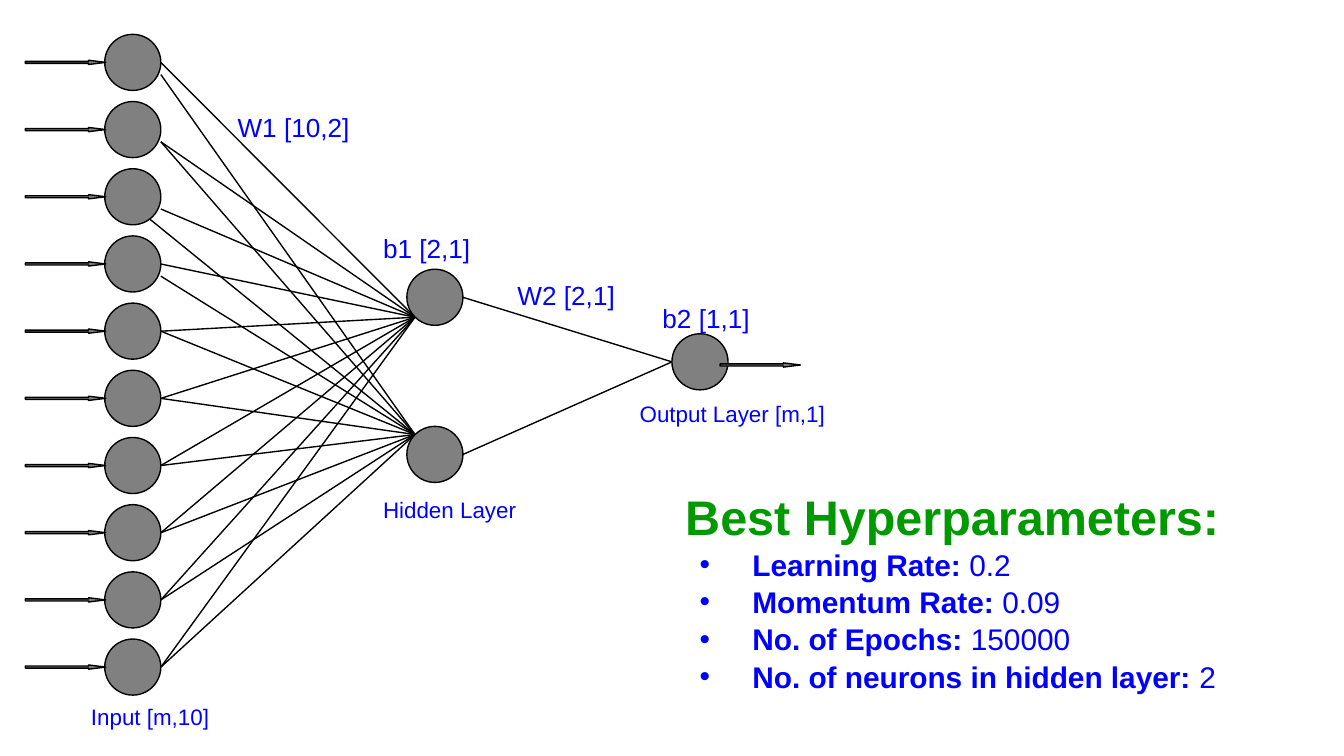
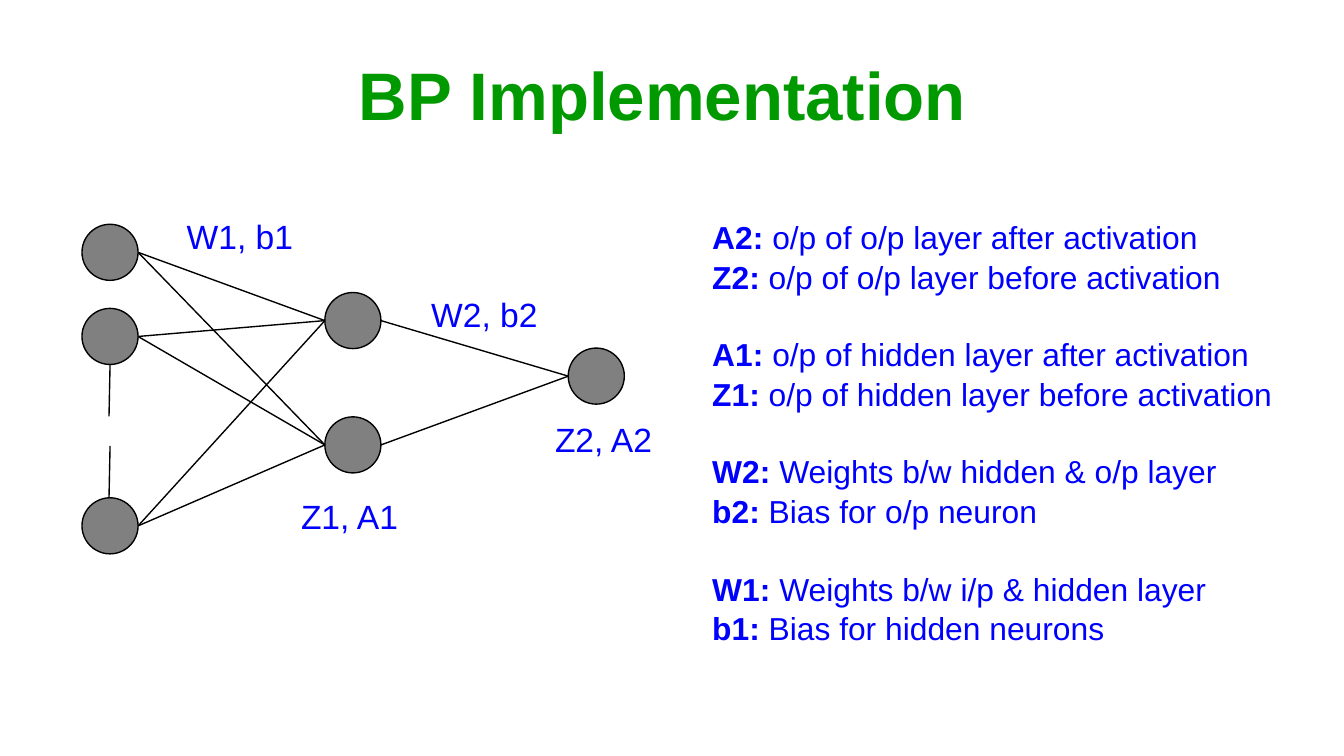
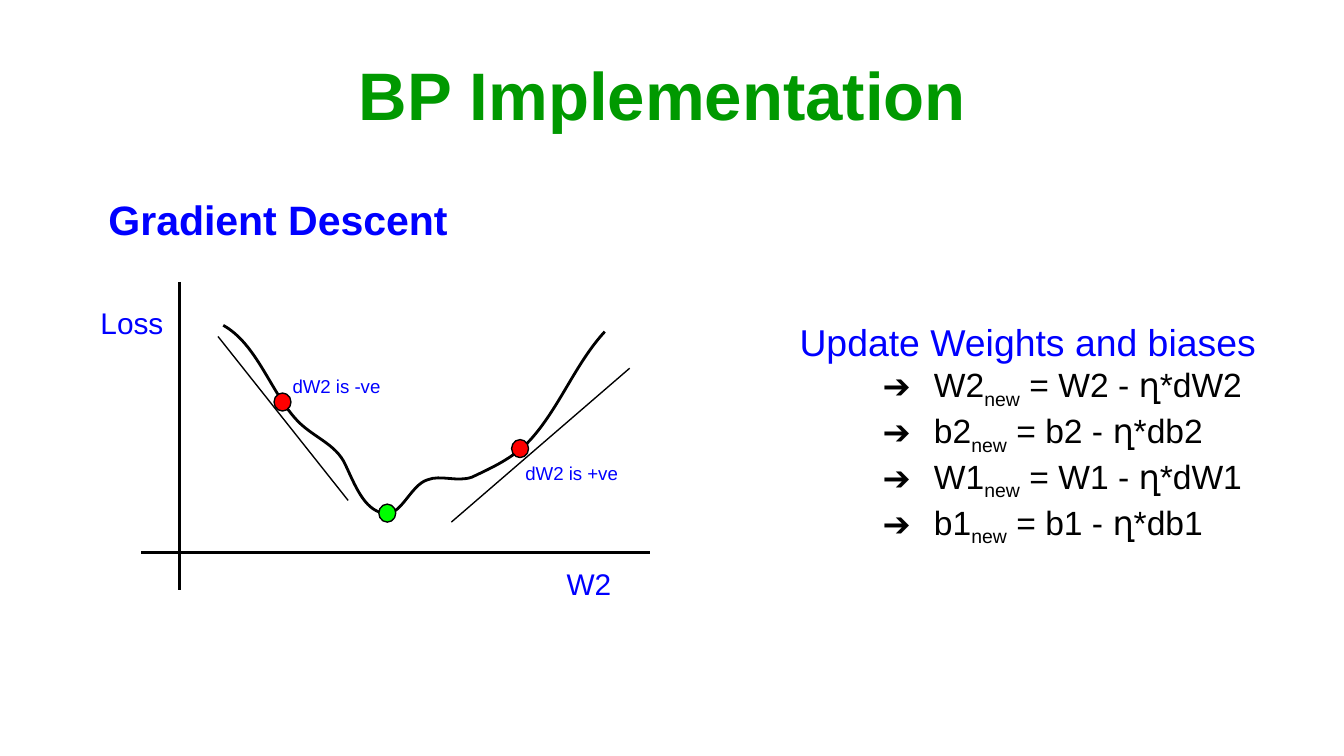
from dataclasses import dataclass
from itertools import product

from lxml.etree import SubElement
from pptx import Presentation
from pptx.dml.color import RGBColor
from pptx.enum.shapes import MSO_CONNECTOR, MSO_SHAPE
from pptx.enum.text import MSO_ANCHOR, MSO_AUTO_SIZE, PP_ALIGN
from pptx.oxml.ns import qn
from pptx.util import Cm, Pt


@dataclass(frozen=True)
class Theme:
    font: str = "Arial"
    heading: str = "009900"
    text: str = "0000FF"
    ink: str = "000000"
    neuron: str = "808080"
    slope_point: str = "FF0000"
    minimum: str = "00FF00"
    title_size: float = 36
    heading_size: float = 26
    subtitle_size: float = 22
    update_size: float = 20
    formula_size: float = 18
    definition_size: float = 17
    list_size: float = 16
    label_size: float = 14
    caption_size: float = 12
    note_size: float = 10
    thin: float = 0.75
    thick: float = 1.5


theme = Theme()


def add_run(paragraph, text, size, color, bold=False, baseline=0):
    run = paragraph.add_run()
    run.text = text
    font_format = {"name": theme.font, "size": Pt(size), "bold": bold}
    for name, value in font_format.items():
        setattr(run.font, name, value)
    run.font.color.rgb = RGBColor.from_string(color)
    if baseline:
        run.font._element.set("baseline", str(baseline * 1000))


def format_paragraph(paragraph, bullet="", color="", left=0, hanging=0, before=0, spacing=1.0):
    properties = paragraph._p.get_or_add_pPr()
    properties.set("marL", str(Cm(left)))
    properties.set("indent", str(-Cm(hanging)))
    if bullet:
        bullet_color = SubElement(properties, qn("a:buClr"))
        SubElement(bullet_color, qn("a:srgbClr")).set("val", color)
        SubElement(properties, qn("a:buChar")).set("char", bullet)
    else:
        SubElement(properties, qn("a:buNone"))
    paragraph.space_before = Pt(before)
    paragraph.line_spacing = spacing


presentation = Presentation()
presentation.slide_width = Cm(25.4)
presentation.slide_height = Cm(14.29)
slides = [presentation.slides.add_slide(presentation.slide_layouts[1]) for _ in range(3)]
network, notation, descent = slides

network_title = network.shapes.title._element
network_title.getparent().remove(network_title)

for slide in (notation, descent):
    title = slide.shapes.title
    title_format = {"left": Cm(1.27), "top": Cm(0.58), "width": Cm(22.86), "height": Cm(2.39)}
    for name, value in title_format.items():
        setattr(title, name, value)
    title.text_frame.vertical_anchor = MSO_ANCHOR.MIDDLE
    title.text_frame.auto_size = MSO_AUTO_SIZE.NONE
    paragraph = title.text_frame.paragraphs[0]
    paragraph.alignment = PP_ALIGN.CENTER
    add_run(paragraph, "BP Implementation ", theme.title_size, theme.heading, bold=True)

bodies = [
    (network, 12.7, 8.76, 11.84, 4.8, 0.13, MSO_ANCHOR.MIDDLE),
    (notation, 13.21, 3.84, 11.18, 8.56, 0.25, MSO_ANCHOR.TOP),
    (descent, 14.86, 5.79, 9.27, 4.8, 0.25, MSO_ANCHOR.TOP),
]
for slide, left, top, width, height, inset, anchor in bodies:
    body = slide.placeholders[1]
    body_format = {"left": Cm(left), "top": Cm(top), "width": Cm(width), "height": Cm(height)}
    for name, value in body_format.items():
        setattr(body, name, value)
    frame_format = {
        "margin_left": Cm(0.25),
        "margin_right": Cm(0.25),
        "margin_top": Cm(inset),
        "margin_bottom": Cm(inset),
        "vertical_anchor": anchor,
        "auto_size": MSO_AUTO_SIZE.NONE,
        "word_wrap": True,
    }
    for name, value in frame_format.items():
        setattr(body.text_frame, name, value)

hyperparameters = [
    ("Learning Rate: ", "0.2"),
    ("Momentum Rate: ", "0.09"),
    ("No. of Epochs:", " 150000"),
    ("No. of neurons in hidden layer:", " 2"),
]
frame = network.placeholders[1].text_frame
format_paragraph(frame.paragraphs[0])
add_run(frame.paragraphs[0], "Best Hyperparameters:", theme.heading_size, theme.heading, bold=True)
for name, value in hyperparameters:
    paragraph = frame.add_paragraph()
    format_paragraph(paragraph, "•", theme.text, left=1.27, hanging=1, spacing=1.04)
    add_run(paragraph, name, theme.list_size, theme.text, bold=True)
    add_run(paragraph, value, theme.list_size, theme.text)

definitions = [
    ("A2:", " o/p of o/p layer after activation"),
    ("Z2:", " o/p of o/p layer before activation"),
    ("A1:", " o/p of hidden layer after activation"),
    ("Z1:", " o/p of hidden layer before activation"),
    ("W2:", " Weights b/w hidden & o/p layer"),
    ("b2:", " Bias for o/p neuron"),
    ("W1:", " Weights b/w i/p & hidden layer"),
    ("b1:", " Bias for hidden neurons"),
]
frame = notation.placeholders[1].text_frame
for index, (symbol, meaning) in enumerate(definitions):
    paragraph = frame.add_paragraph() if index else frame.paragraphs[0]
    starts_pair = index > 0 and index % 2 == 0
    format_paragraph(paragraph, before=20.4 if starts_pair else 0, spacing=1.04)
    add_run(paragraph, symbol, theme.definition_size, theme.text, bold=True)
    add_run(paragraph, meaning, theme.definition_size, theme.text)

frame = descent.placeholders[1].text_frame
format_paragraph(frame.paragraphs[0])
add_run(frame.paragraphs[0], "Update Weights and biases", theme.update_size, theme.text)
for symbol in ("W2", "b2", "W1", "b1"):
    paragraph = frame.add_paragraph()
    format_paragraph(paragraph, "➔", theme.ink, left=2.54, hanging=0.97)
    add_run(paragraph, symbol, theme.formula_size, theme.ink)
    add_run(paragraph, "new", theme.formula_size, theme.ink, baseline=-25)
    add_run(paragraph, f" = {symbol} - ղ*d{symbol}", theme.formula_size, theme.ink)

diameter = 1.06
radius = diameter / 2
diagonal = radius * 0.71
lines, shapes = [], []

network_inputs = [(1.98, 0.65 + 1.27 * row) for row in range(10)]
network_hidden = [(7.69, 5.09), (7.69, 8.06)]
network_output = (12.7, 6.31)
notation_inputs = [(1.55, 4.24), (1.55, 5.83), (1.55, 9.41)]
notation_hidden = [(6.14, 5.53), (6.14, 7.88)]
notation_output = (10.74, 6.58)

lowered = (0, 0.23)
start_shifts = [
    {1: lowered, 2: lowered},
    {0: lowered, 1: lowered, 2: (-0.2, 0.43), 3: lowered},
]
for (left, top), shifts, side in zip(network_hidden, start_shifts, (1, -1)):
    end_x = left + radius - diagonal
    end_y = top + radius + side * diagonal
    for row, (input_left, input_top) in enumerate(network_inputs):
        shift_x, shift_y = shifts.get(row, (0, 0))
        start_x = input_left + diameter + shift_x
        start_y = input_top + radius + shift_y
        lines.append((network, start_x, start_y, end_x, end_y, theme.thin))

links = [
    *((network, start, network_output) for start in network_hidden),
    *((notation, start, end) for start, end in product(notation_inputs, notation_hidden)),
    *((notation, start, notation_output) for start in notation_hidden),
]
for slide, (left, top), (end_left, end_top) in links:
    lines.append((slide, left + diameter, top + radius, end_left, end_top + radius, theme.thin))

lines += [
    (notation, 2.08, 6.89, 2.06, 7.87, theme.thin),
    (notation, 2.08, 8.43, 2.06, 9.41, theme.thin),
    (descent, 3.39, 5.33, 3.39, 11.15, theme.thick),
    (descent, 2.67, 10.45, 12.28, 10.45, theme.thick),
    (descent, 4.12, 6.36, 6.58, 9.46, theme.thin),
    (descent, 11.9, 6.96, 8.53, 9.87, theme.thin),
]
for slide, start_x, start_y, end_x, end_y, width in lines:
    connector = slide.shapes.add_connector(
        MSO_CONNECTOR.STRAIGHT, Cm(start_x), Cm(start_y), Cm(end_x), Cm(end_y)
    )
    connector.line.color.rgb = RGBColor.from_string(theme.ink)
    connector.line.width = Pt(width)
    SubElement(connector._element.spPr, qn("a:effectLst"))

loss_points = [
    (4.22, 6.15),
    (4.85, 6.5), (5.11, 7.39), (5.59, 7.92),
    (5.89, 8.26), (6.35, 8.38), (6.53, 8.79),
    (6.71, 9.17), (6.88, 9.63), (7.24, 9.7),
    (7.57, 9.8), (7.75, 9.17), (8.08, 9.07),
    (8.33, 8.97), (8.64, 9.12), (8.92, 9.02),
    (9.3, 8.84), (9.7, 8.66), (10.01, 8.33),
    (10.57, 7.72), (10.87, 6.88), (11.43, 6.27),
]
vertices = [(Cm(x), Cm(y)) for x, y in loss_points]
builder = descent.shapes.build_freeform(*vertices[0])
builder.add_line_segments(vertices[1:], close=False)
loss_curve = builder.convert_to_shape()
loss_curve.fill.background()
loss_curve.line.color.rgb = RGBColor.from_string(theme.ink)
loss_curve.line.width = Pt(theme.thick)
loss_curve.shadow.inherit = False
segments = list(loss_curve._element.iter(qn("a:lnTo")))
outline = segments[0].getparent()
for index in range(0, len(segments), 3):
    bezier = SubElement(outline, qn("a:cubicBezTo"))
    for segment in segments[index:index + 3]:
        bezier.append(segment[0])
        outline.remove(segment)

neurons = [(network, *place) for place in (*network_inputs, *network_hidden, network_output)]
neurons += [(notation, *place) for place in (*notation_inputs, *notation_hidden, notation_output)]
for slide, left, top in neurons:
    shapes.append((slide, MSO_SHAPE.OVAL, left, top, diameter, diameter, theme.neuron))
arrows = [(0.48, top + radius - 0.04) for left, top in network_inputs] + [(13.61, 6.86)]
for left, top in arrows:
    shapes.append((network, MSO_SHAPE.RIGHT_ARROW, left, top, 1.52, 0.08, theme.neuron))
points = [(7.16, 9.53, theme.minimum), (9.67, 8.31, theme.slope_point), (5.18, 7.43, theme.slope_point)]
for left, top, color in points:
    shapes.append((descent, MSO_SHAPE.FLOWCHART_CONNECTOR, left, top, 0.32, 0.34, color))

for slide, kind, left, top, width, height, color in shapes:
    shape = slide.shapes.add_shape(kind, Cm(left), Cm(top), Cm(width), Cm(height))
    shape.shadow.inherit = False
    shape.fill.solid()
    shape.fill.fore_color.rgb = RGBColor.from_string(color)
    shape.line.color.rgb = RGBColor.from_string(theme.ink)
    shape.line.width = Pt(theme.thin)
    if kind == MSO_SHAPE.RIGHT_ARROW:
        shape.adjustments[1] = 4.05

labels = [
    (network, "Input [m,10]", 1.47, 13.08, 2.97, 0.46, theme.caption_size),
    (network, "W1 [10,2]", 4.24, 1.85, 3.84, 1.02, theme.label_size),
    (network, "Hidden Layer", 6.99, 9.12, 3.4, 1.02, theme.caption_size),
    (network, "Output Layer [m,1]", 11.84, 7.32, 4.7, 0.81, theme.caption_size),
    (network, "W2 [2,1]", 9.53, 5.03, 2.97, 1.04, theme.label_size),
    (network, "b1 [2,1]", 6.99, 4.14, 2.54, 1.02, theme.label_size),
    (network, "b2 [1,1]", 12.27, 5.46, 2.54, 1.02, theme.label_size),
    (notation, "Z2, A2", 10.24, 7.67, 2.46, 1.24, theme.formula_size),
    (notation, "Z1, A1", 5.44, 9.12, 2.46, 1.24, theme.formula_size),
    (notation, "W1, b1", 3.28, 3.84, 2.69, 1.04, theme.formula_size),
    (notation, "W2, b2", 7.9, 5.31, 2.69, 0.99, theme.formula_size),
    (descent, "Gradient Descent", 1.8, 3.43, 7.01, 1.45, theme.subtitle_size),
    (descent, "Loss", 1.65, 5.51, 1.83, 1.3, theme.list_size),
    (descent, "W2", 10.46, 10.44, 1.4, 1.12, theme.list_size),
    (descent, "dW2 is -ve", 5.28, 6.99, 2.44, 0.61, theme.note_size),
    (descent, "dW2 is +ve", 9.68, 8.64, 2.44, 0.61, theme.note_size),
]
for slide, text, left, top, width, height, size in labels:
    label = slide.shapes.add_textbox(Cm(left), Cm(top), Cm(width), Cm(height))
    frame = label.text_frame
    frame.word_wrap = True
    frame.vertical_anchor = MSO_ANCHOR.MIDDLE if size == theme.note_size else MSO_ANCHOR.TOP
    for side in ("left", "top", "right", "bottom"):
        setattr(frame, f"margin_{side}", Cm(0.25))
    add_run(frame.paragraphs[0], text, size, theme.text, bold=size == theme.subtitle_size)

presentation.save("out.pptx")
